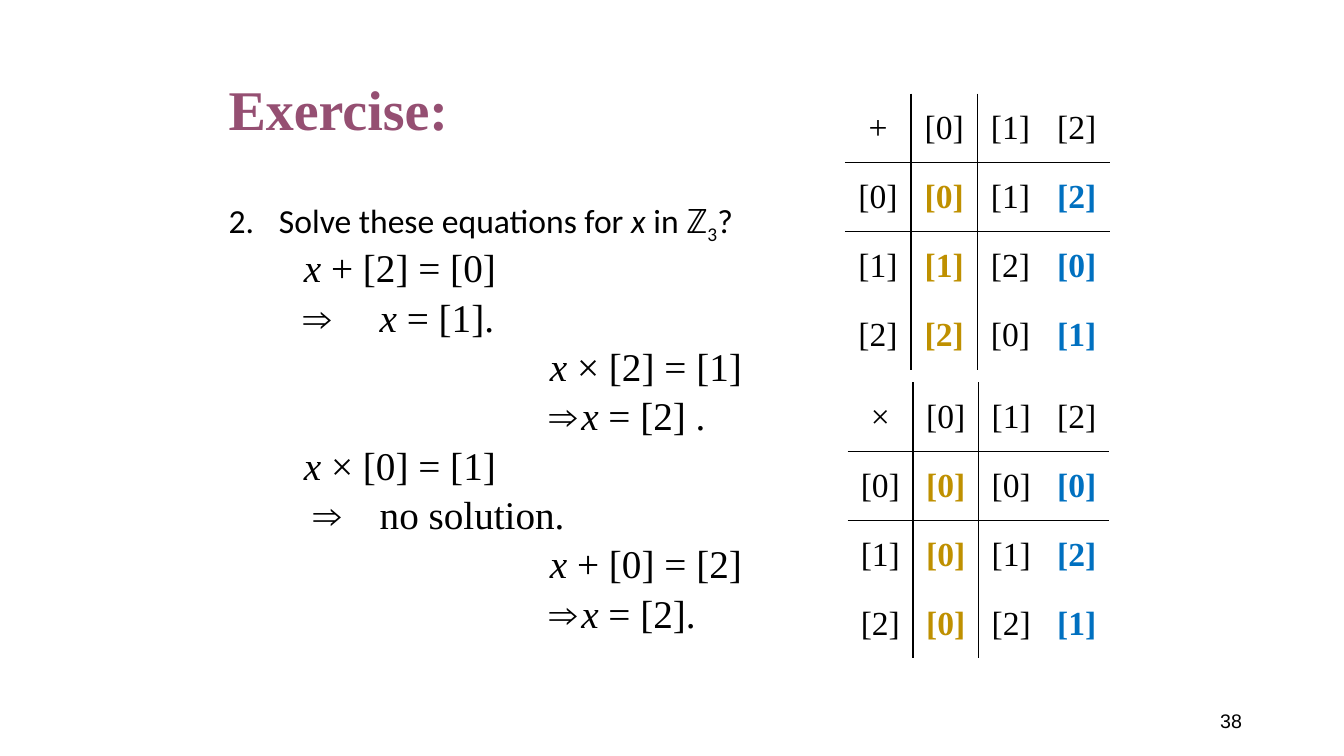
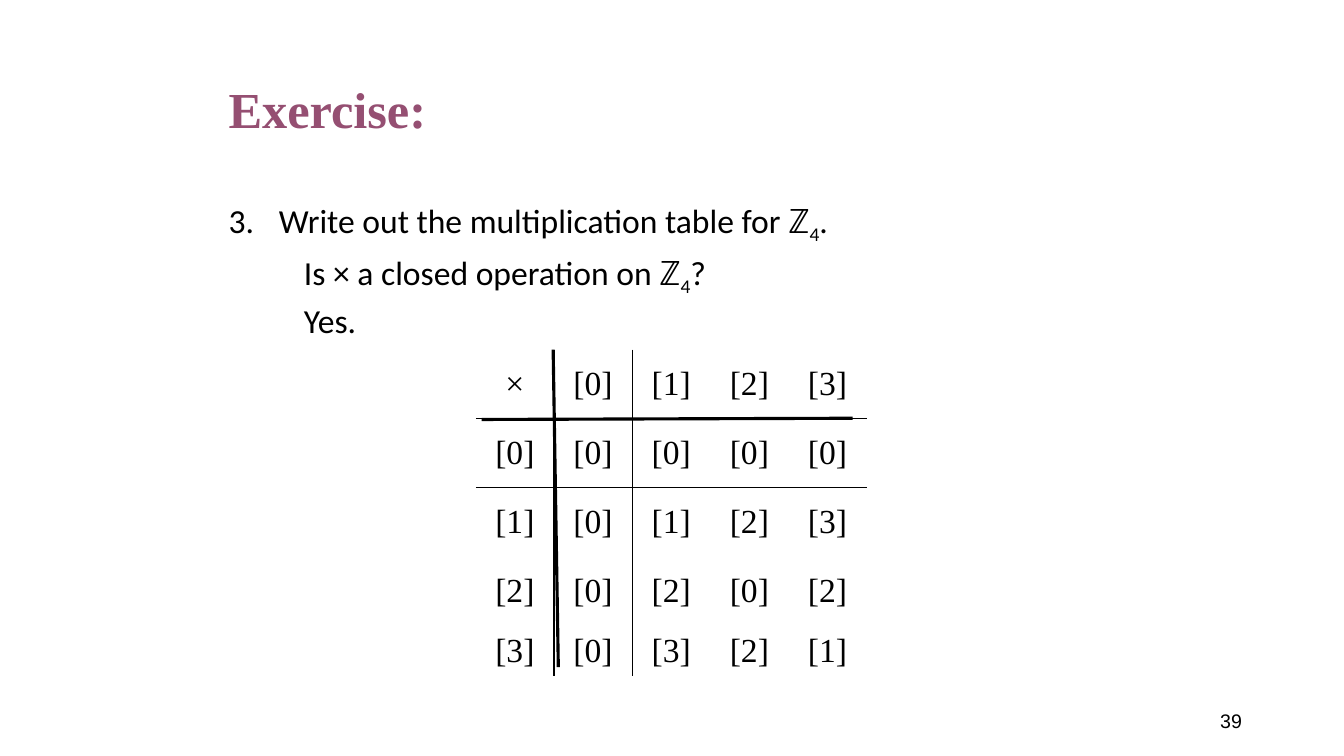
from dataclasses import dataclass, field
from typing import Callable

from lxml.etree import SubElement
from pptx import Presentation
from pptx.dml.color import RGBColor
from pptx.enum.shapes import MSO_CONNECTOR as Connector
from pptx.enum.text import MSO_ANCHOR as Anchor, PP_ALIGN as Align
from pptx.oxml.ns import qn
from pptx.slide import Slide
from pptx.util import Cm, Pt

BLACK, PLUM, GOLD, BLUE = "000000", "954F72", "BF9000", "0070C0"
SERIF, SANS, FOOTER_FONT, SYMBOL = (
    "Times New Roman", "Calibri", "Arial", "Noto Sans CJK JP")
PLAIN_TABLE_STYLE = "{2D5ABB26-0587-4C30-8999-92F81FD0307C}"


@dataclass
class Run:
    text: str
    size: float = 24
    font: str = SANS
    color: str = BLACK
    bold: bool = False
    italic: bool = False
    subscript: bool = False


@dataclass
class Line:
    runs: list[Run]
    indent: float = 0  # start of the first word, cm
    tab: float = 1.9  # tab stop, cm
    space_before: float = 7.5


@dataclass
class OperationTable:
    sign: str
    operation: Callable[[int, int], int]
    modulus: int
    left: float
    top: float
    column_width: float
    row_heights: list[float]
    column_colors: dict[int, str] = field(default_factory=dict)


def rgb(color: str) -> RGBColor:
    return RGBColor.from_string(color)


def add_run(paragraph, run: Run) -> None:
    new_run = paragraph.add_run()
    new_run.text = run.text
    font = new_run.font
    font.size, font.name = Pt(run.size), run.font
    font.bold, font.italic = run.bold, run.italic
    font.color.rgb = rgb(run.color)
    if run.subscript:
        new_run._r.get_or_add_rPr().set("baseline", "-25000")


def add_text_frame(slide: Slide, left: float, top: float, width: float,
                   height: float, anchor: Anchor):
    box = slide.shapes.add_textbox(Cm(left), Cm(top), Cm(width), Cm(height))
    frame = box.text_frame
    frame.word_wrap = True
    frame.vertical_anchor = anchor
    return frame


def add_frame(slide: Slide, title_size: float, number: str) -> None:
    """Title and page number, shared by all slides."""
    title = add_text_frame(slide, 5.51, 1.24, 22.86, 3.18, Anchor.MIDDLE)
    title.paragraphs[0].line_spacing = 0.9
    add_run(title.paragraphs[0],
            Run("Exercise:", title_size, SERIF, PLUM, bold=True))
    footer = add_text_frame(slide, 23.93, 17.65, 7.62, 1.02, Anchor.MIDDLE)
    footer.paragraphs[0].alignment = Align.RIGHT
    add_run(footer.paragraphs[0], Run(number, 14, FOOTER_FONT))


def add_body(slide: Slide, lines: list[Line]) -> None:
    frame = add_text_frame(slide, 5.51, 4.93, 22.86, 12.57, Anchor.TOP)
    for index, line in enumerate(lines):
        paragraph = frame.add_paragraph() if index else frame.paragraphs[0]
        paragraph.line_spacing = 0.9
        paragraph.space_before = Pt(line.space_before)
        properties = paragraph._p.get_or_add_pPr()
        properties.set("marL", "0")
        properties.set("indent", str(Cm(line.indent)))
        tabs = SubElement(properties, qn("a:tabLst"))
        SubElement(tabs, qn("a:tab"), pos=str(Cm(line.tab)), algn="l")
        for run in line.runs:
            add_run(paragraph, run)


def add_border(cell, side: str) -> None:
    border = SubElement(cell._tc.get_or_add_tcPr(), qn(f"a:ln{side}"),
                        w=str(Pt(1)))
    fill = SubElement(border, qn("a:solidFill"))
    SubElement(fill, qn("a:srgbClr"), val=BLACK)


def add_operation_table(slide: Slide, spec_table: OperationTable) -> None:
    count = spec_table.modulus + 1
    shape = slide.shapes.add_table(
        count, count, Cm(spec_table.left), Cm(spec_table.top),
        Cm(spec_table.column_width * count), Cm(sum(spec_table.row_heights)))
    table = shape.table
    table.first_row = table.horz_banding = False
    for style in shape.element.iter(qn("a:tableStyleId")):
        style.text = PLAIN_TABLE_STYLE
    for column in table.columns:
        column.width = Cm(spec_table.column_width)
    for row, height in zip(table.rows, spec_table.row_heights):
        row.height = Cm(height)

    # The first row and column hold the operands
    for row in range(count):
        for column in range(count):
            cell = table.cell(row, column)
            color = BLACK
            if row and column:
                value = spec_table.operation(row - 1, column - 1)
                text = f"[{value % spec_table.modulus}]"
                color = spec_table.column_colors.get(column, BLACK)
            elif row or column:
                text = f"[{row + column - 1}]"
            else:
                text = spec_table.sign
            sides = {"L": column == 1, "R": column == 0,
                     "T": row == 1, "B": row == 0}
            for side, drawn in sides.items():
                if drawn:
                    add_border(cell, side)
            cell.fill.background()
            cell.vertical_anchor = Anchor.MIDDLE
            paragraph = cell.text_frame.paragraphs[0]
            paragraph.alignment = Align.CENTER
            add_run(paragraph, Run(text, 24, SERIF, color, color != BLACK))


def add_rule(slide: Slide, x1: float, y1: float, x2: float, y2: float) -> None:
    rule = slide.shapes.add_connector(
        Connector.STRAIGHT, Cm(x1), Cm(y1), Cm(x2), Cm(y2))
    rule.line.color.rgb = rgb(BLACK)
    rule.line.width = Pt(2.25)
    SubElement(rule.element.spPr, qn("a:effectLst"))


def math(text: str, italic: bool = False) -> Run:
    return Run(text, 28, SERIF, italic=italic)


def solved(equation: str, answer: str, right: bool = False) -> list[Line]:
    """An equation in x and, below it, its solution."""
    indent, tab = (8.1, 10) if right else (1.9, 4.29)
    x = math("x", italic=True)
    result = ([math("⇒\t"), x, math(f" = {answer}")] if answer
              else [math(" ⇒\tno solution.")])
    return [Line(runs, indent, tab, 5)
            for runs in ([x, math(equation)], result)]


def question(text: str, ending: str, indent: float = 0) -> Line:
    return Line([Run(text), Run("ℤ", font=SYMBOL),
                 Run("4", subscript=True), Run(ending)], indent)


def main() -> None:
    presentation = Presentation()
    presentation.slide_width, presentation.slide_height = Cm(33.87), Cm(19.05)
    blank = presentation.slide_layouts[6]

    # Equations in the integers modulo 3
    slide = presentation.slides.add_slide(blank)
    add_frame(slide, 40, "38")
    add_body(slide, [
        Line([Run("2.\tSolve these equations for "), Run("x", italic=True),
              Run(" in ℤ"), Run("3", subscript=True), Run("?")]),
        *solved(" + [2] = [0]", "[1]."),
        *solved(" × [2] = [1]", "[2] .", right=True),
        *solved(" × [0] = [1]", ""),
        *solved(" + [0] = [2]", "[2].", right=True),
    ])
    highlights = {1: GOLD, 3: BLUE}
    add_operation_table(slide, OperationTable(
        "+", lambda a, b: a + b, 3, 21.29, 2.36, 1.67, [1.74] * 4, highlights))
    add_operation_table(slide, OperationTable(
        "×", lambda a, b: a * b, 3, 21.36, 9.63, 1.65, [1.74] * 4, highlights))

    # Multiplication modulo 4
    slide = presentation.slides.add_slide(blank)
    add_frame(slide, 36, "39")
    add_body(slide, [
        question("3.\tWrite out the multiplication table for ", "."),
        question("Is × a closed operation on ", "?", indent=1.9),
        Line([Run("Yes.")], indent=1.9),
    ])
    add_operation_table(slide, OperationTable(
        "×", lambda a, b: a * b, 4, 11.99, 8.81, 1.97, [1.74] * 4 + [1.27]))
    add_rule(slide, 12.14, 10.57, 21.49, 10.54)
    add_rule(slide, 13.94, 8.81, 14.07, 16.81)

    presentation.save("out.pptx")


if __name__ == "__main__":
    main()
